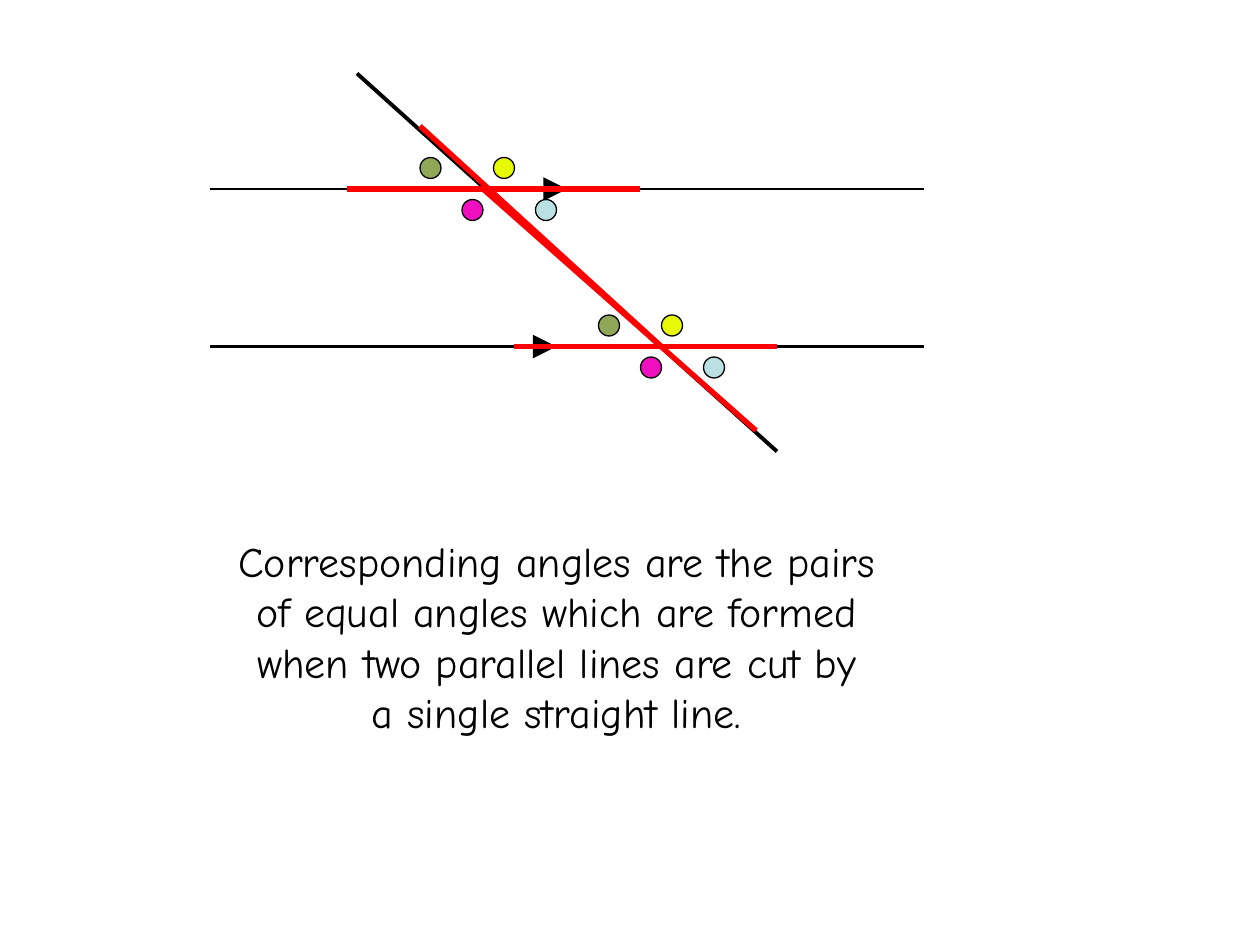
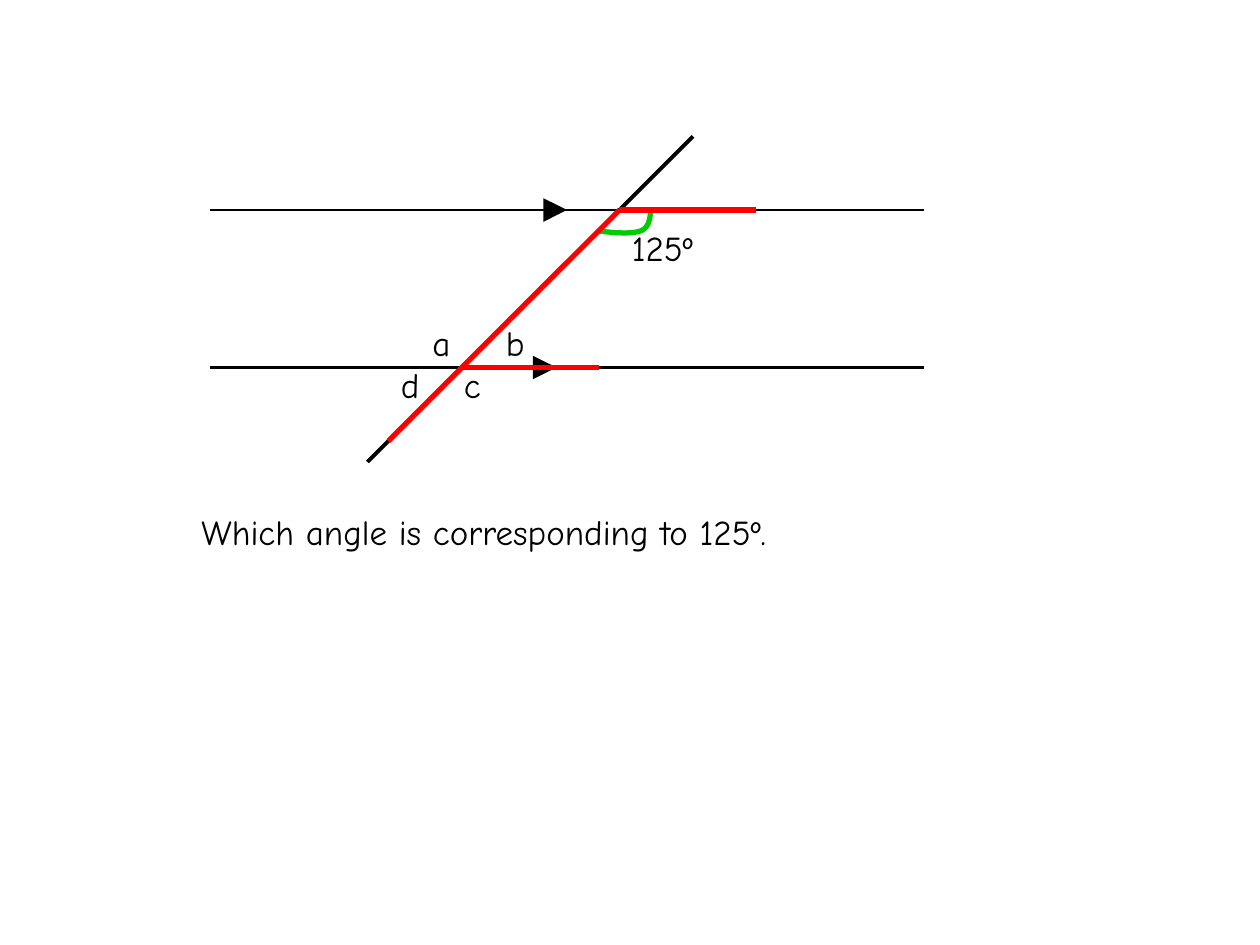
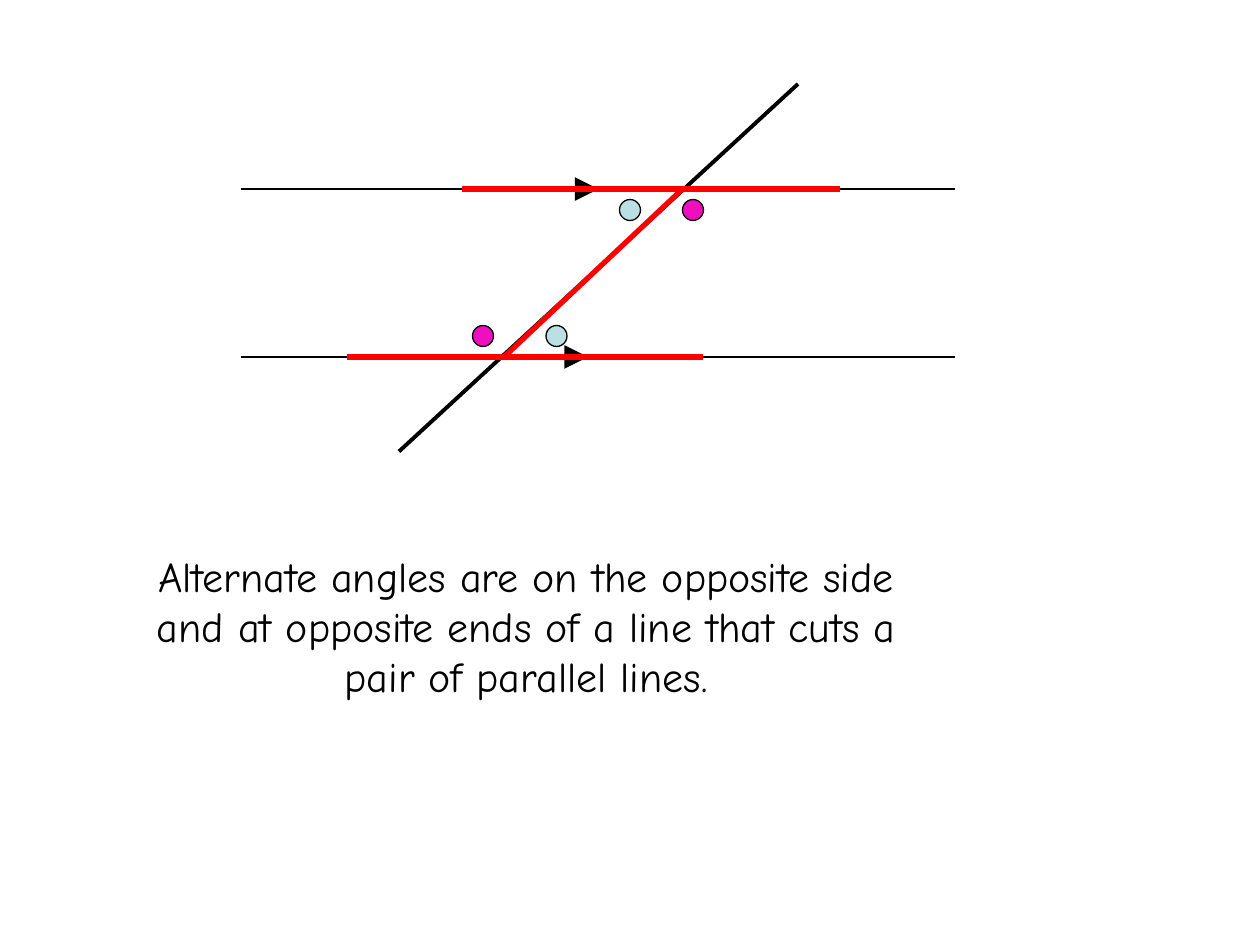
from lxml import etree
from pptx import Presentation
from pptx.dml.color import RGBColor
from pptx.enum.shapes import MSO_CONNECTOR, MSO_SHAPE
from pptx.enum.text import MSO_ANCHOR, MSO_AUTO_SIZE, PP_ALIGN
from pptx.oxml.ns import qn
from pptx.util import Cm, Pt

STRAIGHT = MSO_CONNECTOR.STRAIGHT
OVAL = MSO_SHAPE.OVAL
CENTER, LEFT = PP_ALIGN.CENTER, PP_ALIGN.LEFT
MIDDLE, TOP = MSO_ANCHOR.MIDDLE, MSO_ANCHOR.TOP
FIT_SHAPE = MSO_AUTO_SIZE.SHAPE_TO_FIT_TEXT

FONT = "Comic Neue"
COLORS = {
    "black": "000000",
    "red": "FF0000",
    "green": "00CC00",
    "blue": "BBE0E3",
    "pink": "EF0FBF",
    "yellow": "E8F905",
    "olive": "90A757",
}
BLANK_LAYOUT = 6
DOT_SIZE = 2
PARALLEL_LENGTH = 68
LABEL_HEIGHT = 5.3
CURVE_STEPS = 12


def color(name):
    return RGBColor.from_string(COLORS[name])


def grid(units):
    """Length of a number of grid units; twelve units make 2.54 cm."""
    return Cm(units * 2.54 / 12)


# Lines and dots
def add_line(shapes, start, end, color_name, width, arrow=False):
    connector = shapes.add_connector(STRAIGHT, *map(grid, (*start, *end)))
    connector.line.color.rgb = color(color_name)
    connector.line.width = Pt(width)
    properties = connector._element.spPr
    if arrow:
        etree.SubElement(properties.find(qn("a:ln")), qn("a:tailEnd"), type="triangle")
    etree.SubElement(properties, qn("a:effectLst"))


def add_parallel_lines(slide, left, upper, lower):
    """Two parallel lines, each with an arrowhead near its middle."""
    group = slide.shapes.add_group_shape()
    for y in (upper, lower):
        add_line(group.shapes, (left, y), (left + PARALLEL_LENGTH, y), "black", 1.5)
    for y, offset in ((upper, 32), (lower, 31)):
        x = left + offset
        add_line(group.shapes, (x, y), (x + 2, y), "black", 4.5, arrow=True)


def add_transversal(slide, start, end):
    add_line(slide.shapes, start, end, "black", 2.25)


def add_highlights(slide, segments):
    for start, end in segments:
        add_line(slide.shapes, start, end, "red", 3)


def add_dots(slide, dots):
    for color_name, positions in dots.items():
        for left, top in positions:
            dot = slide.shapes.add_shape(
                OVAL, grid(left), grid(top), grid(DOT_SIZE), grid(DOT_SIZE))
            dot.shadow.inherit = False
            dot.fill.solid()
            dot.fill.fore_color.rgb = color(color_name)
            dot.line.color.rgb = color("black")
            dot.line.width = Pt(0.75)


# Angle mark
def curve_points(start, control_1, control_2, end):
    """Points along a cubic curve, without its start."""
    points = []
    for step in range(1, CURVE_STEPS + 1):
        t = step / CURVE_STEPS
        weights = ((1 - t) ** 3, 3 * t * (1 - t) ** 2, 3 * t ** 2 * (1 - t), t ** 3)
        corners = (start, control_1, control_2, end)
        points.append(tuple(
            grid(sum(weight * corner[axis] for weight, corner in zip(weights, corners)))
            for axis in (0, 1)))
    return points


def add_angle_mark(slide, start, middle, end, controls):
    builder = slide.shapes.build_freeform(grid(start[0]), grid(start[1]))
    points = curve_points(start, *controls[:2], middle)
    points += curve_points(middle, *controls[2:], end)
    builder.add_line_segments(points, close=False)
    mark = builder.convert_to_shape()
    mark.shadow.inherit = False
    mark.fill.background()
    mark.line.color.rgb = color("green")
    mark.line.width = Pt(3)


# Text
def add_text(slide, lines, box, size, alignment=LEFT, anchor=TOP, wrap=True):
    text_box = slide.shapes.add_textbox(*map(grid, box))
    text_frame = text_box.text_frame
    text_frame.word_wrap = wrap
    text_frame.auto_size = FIT_SHAPE
    text_frame.vertical_anchor = anchor
    text_frame.text = "\n".join(lines)
    for paragraph in text_frame.paragraphs:
        paragraph.alignment = alignment
        for run in paragraph.runs:
            run.font.name = FONT
            run.font.size = Pt(size)
            run.font.color.rgb = color("black")


def add_definition(slide, lines, box):
    add_text(slide, lines, box, 24, CENTER, MIDDLE, wrap=False)


def add_label(slide, text, left, top, width):
    add_text(slide, [text], (left, top, width, LABEL_HEIGHT), 20)


# Slides
def build_corresponding_angles(slide):
    add_parallel_lines(slide, 20, 18, 33)
    add_definition(slide, [
        "Corresponding angles are the pairs",
        "of equal angles which are formed",
        "when two parallel lines are cut by",
        "a single straight line.",
    ], (20.7, 50.4, 64.6, 20.4))
    add_transversal(slide, (34, 7), (74, 43))
    add_dots(slide, {
        "blue": [(67, 34), (51, 19)],
        "pink": [(61, 34), (44, 19)],
        "yellow": [(63, 30), (47, 15)],
        "olive": [(57, 30), (40, 15)],
    })
    upper_crossing, lower_crossing = (46, 18), (63, 33)
    add_highlights(slide, [
        (upper_crossing, (72, 41)),
        ((61, 18), upper_crossing),
        (lower_crossing, (74, 33)),
        ((49, 33), lower_crossing),
        ((33, 18), upper_crossing),
        ((40, 12), lower_crossing),
    ])


def build_question(slide):
    add_parallel_lines(slide, 20, 20, 35)
    add_transversal(slide, (66, 13), (35, 44))
    add_angle_mark(slide, (57, 22), (61, 22), (62, 20),
                   [(58.6, 22.2), (60.1, 22.3), (61.8, 21.7), (61.9, 20.9)])
    for label in (
        ("125º", 59, 21, 13),
        ("a", 40, 30, 6),
        ("b", 47, 30, 7),
        ("c", 43, 34, 8),
        ("d", 37, 34, 6),
        ("Which angle is corresponding to 125º.", 18, 48, 75),
    ):
        add_label(slide, *label)
    upper_crossing = (59, 20)
    add_highlights(slide, [
        ((37, 42), upper_crossing),
        ((57, 35), (44, 35)),
        ((72, 20), upper_crossing),
    ])


def build_alternate_angles(slide):
    add_parallel_lines(slide, 23, 18, 34)
    add_transversal(slide, (38, 43), (76, 8))
    add_definition(slide, [
        "Alternate angles are on the opposite side",
        "and at opposite ends of a line that cuts a",
        "pair of parallel lines.",
    ], (13, 51.8, 74.2, 15.6))
    add_dots(slide, {
        "blue": [(52, 31), (59, 19)],
        "pink": [(65, 19), (45, 31)],
    })
    upper_crossing, lower_crossing = (65, 18), (48, 34)
    add_highlights(slide, [
        ((44, 18), upper_crossing),
        (upper_crossing, lower_crossing),
        (lower_crossing, (67, 34)),
        ((80, 18), upper_crossing),
        ((33, 34), lower_crossing),
    ])


def main():
    presentation = Presentation()
    presentation.slide_width = Cm(25.4)
    presentation.slide_height = Cm(19.05)
    layout = presentation.slide_layouts[BLANK_LAYOUT]
    for build in (build_corresponding_angles, build_question, build_alternate_angles):
        build(presentation.slides.add_slide(layout))
    presentation.save("out.pptx")


if __name__ == "__main__":
    main()
